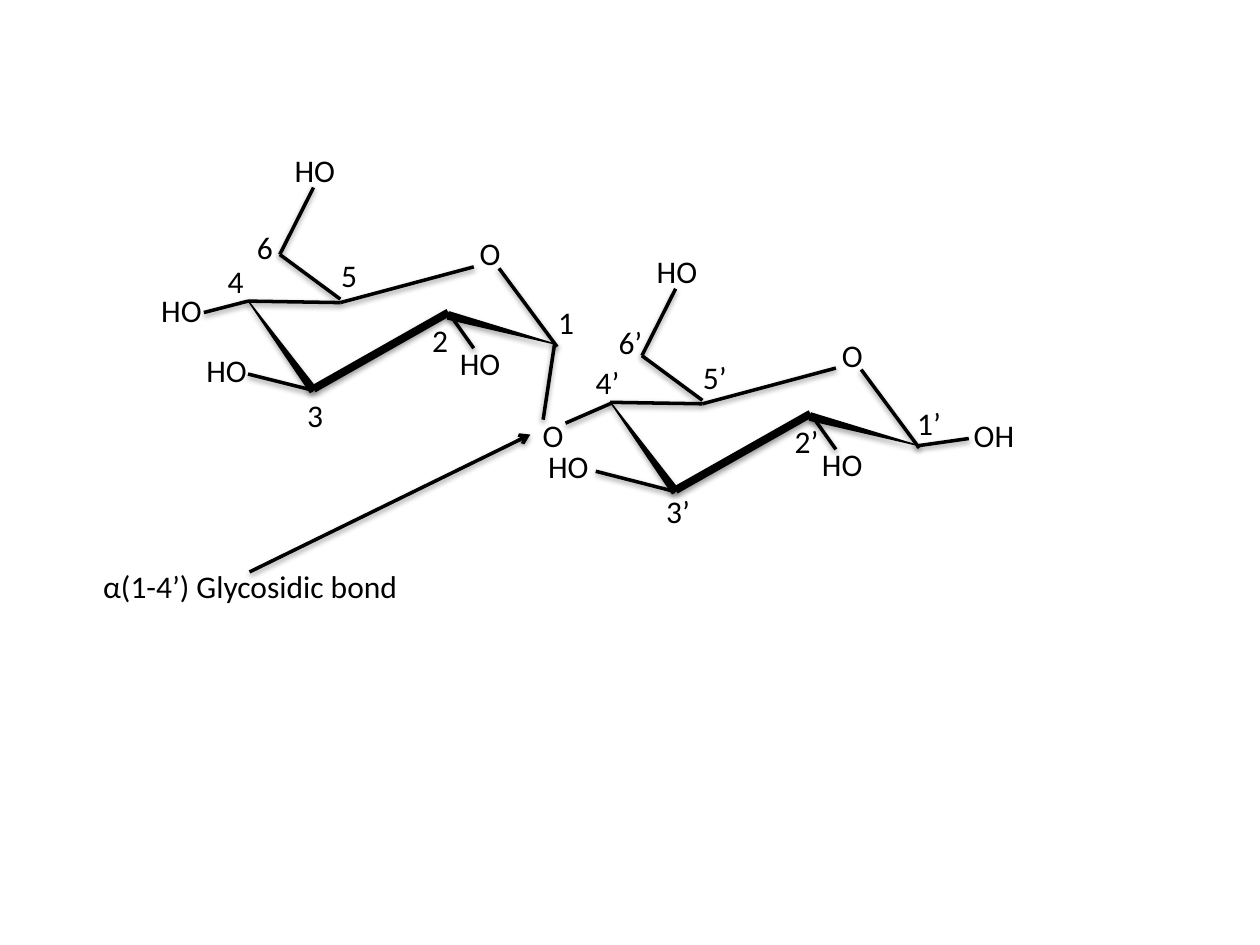
from typing import NamedTuple

from lxml import etree
from pptx import Presentation
from pptx.dml.color import RGBColor
from pptx.enum import shapes, text
from pptx.oxml import ns, parse_xml
from pptx.util import Cm, Pt

INK = "000000"
FONT = "Calibri"


class Bond(NamedTuple):
    x1: float
    y1: float
    x2: float
    y2: float
    weight: float = 2


class Wedge(NamedTuple):
    left: float
    top: float
    angle: float


class Label(NamedTuple):
    words: str
    left: float
    top: float
    width: float = 1.17


RING_SHIFTS = [(0, 0), (7.3, 2.04)]

RING_BONDS = [
    Bond(6.86, 6.1, 9.55, 5.38),
    Bond(10.06, 5.41, 11.23, 6.99),
    Bond(9.04, 6.3, 6.32, 7.84, 4.5),
    Bond(5, 6.07, 6.86, 6.1),
    Bond(9.04, 6.3, 9.55, 7.02),
    Bond(6.86, 6.03, 5.64, 5.13),
    Bond(5.64, 5.13, 6.32, 3.78),
]
RING_WEDGES = [Wedge(10.03, 5.54, 105), Wedge(5.59, 5.87, 324)]
RING_LABELS = [
    Label("O", 9.42, 4.6, 1.52),
    Label("HO", 9.02, 6.81, 1.68),
    Label("HO", 5.69, 2.92, 1.68),
]

OUTER_BONDS = [
    Bond(6.32, 7.87, 5, 7.54),
    Bond(5, 6.07, 4.11, 6.3),
    Bond(13.61, 9.91, 12.01, 9.5),
    Bond(12.32, 8.13, 11.4, 8.53),
    Bond(11.18, 6.93, 10.95, 8.46),
    Bond(18.47, 8.99, 19.53, 8.84),
]
OUTER_LABELS = [
    Label("HO", 3.91, 6.96, 1.68),
    Label("HO", 3, 5.74, 1.68),
    Label("HO", 10.8, 8.89, 1.68),
    Label("O", 10.69, 8.26, 1.52),
    Label("OH", 19.38, 8.26, 1.75),
    Label("1", 11, 5.99, 0.89),
    Label("2", 8.46, 6.35),
    Label("3", 5.94, 7.85),
    Label("4", 4.34, 5.16),
    Label("5", 6.63, 5.03),
    Label("6", 4.93, 4.47),
    Label("1’", 18.24, 8.03, 1.3),
    Label("2’", 15.77, 8.38),
    Label("3’", 13.18, 9.8),
    Label("4’", 11.76, 7.19),
    Label("5’", 13.92, 7.09),
    Label("6’", 12.22, 6.38),
    Label("α(1-4’) Glycosidic bond", 1.83, 11.3, 6.81),
]
POINTER = Bond(5.03, 11.53, 10.69, 8.76)


def color(value: str) -> RGBColor:
    return RGBColor.from_string(value)


def add_shadow(item, distance: int, opacity: int) -> None:
    item._element.spPr.append(parse_xml(
        f'<a:effectLst {ns.nsdecls("a")}>'
        f'<a:outerShdw blurRad="40000" dist="{distance}" dir="5400000" rotWithShape="0">'
        f'<a:srgbClr val="{INK}"><a:alpha val="{opacity}"/></a:srgbClr>'
        '</a:outerShdw></a:effectLst>'))


def draw_bond(page, bond: Bond, dx: float = 0, dy: float = 0, arrow: bool = False) -> None:
    line = page.shapes.add_connector(
        shapes.MSO_CONNECTOR.STRAIGHT,
        Cm(bond.x1 + dx), Cm(bond.y1 + dy), Cm(bond.x2 + dx), Cm(bond.y2 + dy))
    line.line.color.rgb = color(INK)
    line.line.width = Pt(bond.weight)
    if arrow:
        etree.SubElement(line.line._get_or_add_ln(), ns.qn("a:tailEnd"), type="arrow")
    add_shadow(line, 20000, 38000)


def draw_wedge(page, wedge: Wedge, dx: float, dy: float) -> None:
    triangle = page.shapes.add_shape(
        shapes.MSO_SHAPE.ISOSCELES_TRIANGLE,
        Cm(wedge.left + dx), Cm(wedge.top + dy), Cm(0.15), Cm(2.21))
    triangle.rotation = wedge.angle
    triangle.fill.solid()
    triangle.fill.fore_color.rgb = color(INK)
    triangle.line.color.rgb = color(INK)
    triangle.line.width = Pt(0.75)
    add_shadow(triangle, 23000, 35000)


def draw_label(page, label: Label, dx: float = 0, dy: float = 0) -> None:
    box = page.shapes.add_textbox(
        Cm(label.left + dx), Cm(label.top + dy), Cm(label.width), Cm(1.02))
    box.text_frame.word_wrap = True
    box.text_frame.auto_size = text.MSO_AUTO_SIZE.SHAPE_TO_FIT_TEXT
    para = box.text_frame.paragraphs[0]
    span = para.add_run()
    span.text = label.words
    span.font.name = FONT
    span.font.size = Pt(18)
    span.font.color.rgb = color(INK)


def draw_ring(page, dx: float, dy: float) -> None:
    for bond in RING_BONDS:
        draw_bond(page, bond, dx, dy)
    for wedge in RING_WEDGES:
        draw_wedge(page, wedge, dx, dy)
    for label in RING_LABELS:
        draw_label(page, label, dx, dy)


deck = Presentation()
deck.slide_width, deck.slide_height = Cm(25.4), Cm(19.05)
page = deck.slides.add_slide(deck.slide_layouts[6])

for shift in RING_SHIFTS:
    draw_ring(page, *shift)
for bond in OUTER_BONDS:
    draw_bond(page, bond)
for label in OUTER_LABELS:
    draw_label(page, label)
draw_bond(page, POINTER, arrow=True)

deck.save("out.pptx")
